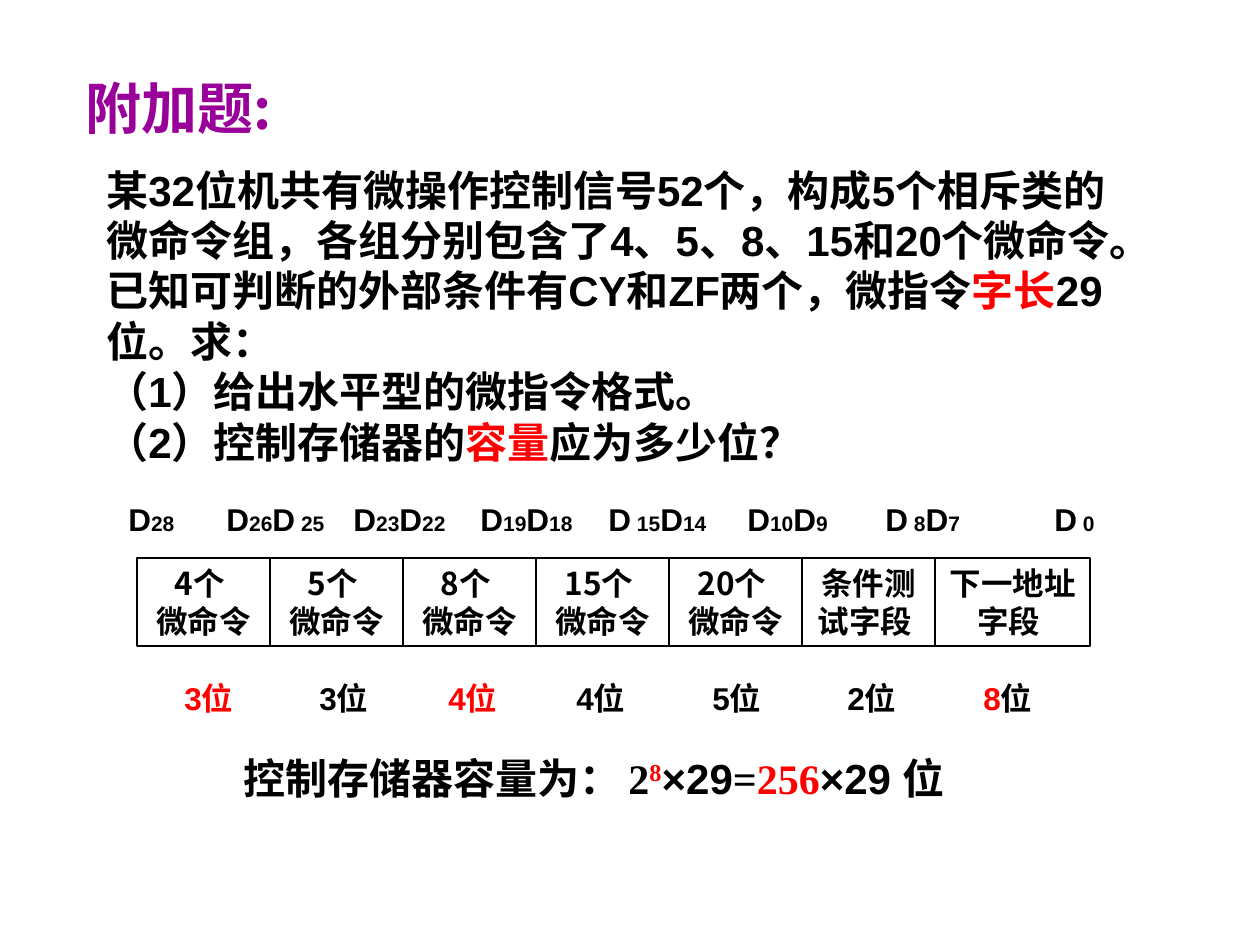
from dataclasses import dataclass

from lxml import etree
from pptx import Presentation
from pptx.dml.color import RGBColor
from pptx.enum import shapes, text
from pptx.oxml import ns
from pptx.util import Emu, Pt

PX = 914400 // 126


@dataclass(frozen=True)
class Theme:
    ink: str = "000000"
    red: str = "FF0000"
    plum: str = "990099"
    sans: str = "Arial"
    han: str = "Noto Sans CJK SC"
    serif: str = "Times New Roman"
    head: int = 32
    body: int = 24
    label: int = 18
    sub: int = 12
    line: float = 0.75


T = Theme()


def px(n):
    return Emu(n * PX)


def add_run(para, words, size, color=T.ink, font=T.sans, bold=True):
    run = para.add_run()
    run.text = words
    run.font.size = Pt(size)
    run.font.bold = bold
    run.font.color.rgb = RGBColor.from_string(color)
    run.font.name = font
    props = run.font._element
    east = etree.Element(ns.qn("a:ea"), typeface=T.han)
    props.find(ns.qn("a:latin")).addnext(east)
    return run


def add_box(slide, box):
    frame = slide.shapes.add_textbox(*map(px, box)).text_frame
    frame.word_wrap = True
    return frame


def add_tabs(para, stops):
    """Add left tab stops, in px from the text edge."""
    props = para._p.get_or_add_pPr()
    tabs = etree.SubElement(props, ns.qn("a:tabLst"))
    for stop in stops:
        etree.SubElement(tabs, ns.qn("a:tab"), pos=str(px(stop)), algn="l")


def draw_title(slide, box):
    frame = add_box(slide, box)
    frame.vertical_anchor = text.MSO_ANCHOR.BOTTOM
    add_run(frame.paragraphs[0], "附加题:", T.head, T.plum, T.han)


def draw_task(slide, box):
    lines = [
        [("某32位机共有微操作控制信号52个，构成5个相斥类的微命令组，"
          "各组分别包含了4、5、8、15和20个微命令。"
          "已知可判断的外部条件有CY和ZF两个，微指令", T.ink),
         ("字长", T.red), ("29位。求：", T.ink)],
        [("（1）给出水平型的微指令格式。", T.ink)],
        [("（2）控制存储器的", T.ink), ("容量", T.red), ("应为多少位？", T.ink)],
    ]
    frame = add_box(slide, box)
    for i, line in enumerate(lines):
        para = frame.add_paragraph() if i else frame.paragraphs[0]
        for words, color in line:
            add_run(para, words, T.body, color)


def draw_marks(slide, box):
    """Write the bit numbers that bound each field."""
    groups = [["28"], ["26", " 25"], ["23", "22"], ["19", "18"],
              [" 15", "14"], ["10", "9"], [" 8", "7"], [" 0"]]
    para = add_box(slide, box).paragraphs[0]
    add_tabs(para, [98, 225, 352, 480, 619, 757, 926])
    for i, group in enumerate(groups):
        for j, num in enumerate(group):
            lead = "\t" if i and not j else ""
            add_run(para, lead + "D", T.label)
            add_run(para, num, T.sub)


def draw_fields(slide, box):
    left, top, width, height = box
    step = 133
    cells = [[f"{n}个 ", "微命令"] for n in (4, 5, 8, 15, 20)]
    cells += [["条件测试字段 "], ["下一地址字段 "]]
    for i, lines in enumerate(cells):
        last = i == len(cells) - 1
        wide = width - i * step if last else step
        cell = slide.shapes.add_shape(
            shapes.MSO_SHAPE.RECTANGLE,
            px(left + i * step), px(top), px(wide), px(height))
        cell.shadow.inherit = False
        cell.fill.background()
        cell.line.color.rgb = RGBColor.from_string(T.ink)
        cell.line.width = Pt(T.line)
        frame = cell.text_frame
        frame.word_wrap = True
        frame.vertical_anchor = text.MSO_ANCHOR.TOP
        for j, line in enumerate(lines):
            para = frame.add_paragraph() if j else frame.paragraphs[0]
            para.alignment = text.PP_ALIGN.CENTER
            add_run(para, line, T.label, font=T.han)


def draw_widths(slide, box):
    """Write the number of bits under each field."""
    groups = [[("3位", T.red)], [("3位", T.ink)], [("4位", T.red)],
              [("4位", T.ink)], [("5位", T.ink)], [("2位", T.ink)],
              [("8", T.red), ("位", T.ink)]]
    para = add_box(slide, box).paragraphs[0]
    add_tabs(para, [35, 170, 299, 427, 563, 698, 834])
    for group in groups:
        for j, (words, color) in enumerate(group):
            add_run(para, words if j else "\t" + words, T.label, color)


def draw_result(slide, box):
    para = add_box(slide, box).paragraphs[0]
    add_run(para, "控制存储器容量为：", T.body)
    add_run(para, " ", T.label, bold=False)
    add_run(para, "2", T.body, font=T.serif)
    power = add_run(para, "8", T.body, T.red, T.serif)
    power.font._element.set("baseline", "30000")
    add_run(para, "×29", T.body)
    add_run(para, "=", T.body, font=T.serif)
    add_run(para, "256", T.body, T.red, T.serif)
    add_run(para, "×29 位", T.body)


def main():
    deck = Presentation()
    deck.slide_width, deck.slide_height = px(1260), px(945)
    slide = deck.slides.add_slide(deck.slide_layouts[6])
    draw_title(slide, (73, 53, 1071, 94))
    draw_fields(slide, (137, 558, 953, 88))
    draw_marks(slide, (116, 494, 1008, 50))
    draw_widths(slide, (137, 673, 985, 50))
    draw_task(slide, (94, 158, 1061, 315))
    draw_result(slide, (231, 746, 777, 63))
    deck.save("out.pptx")


if __name__ == "__main__":
    main()
